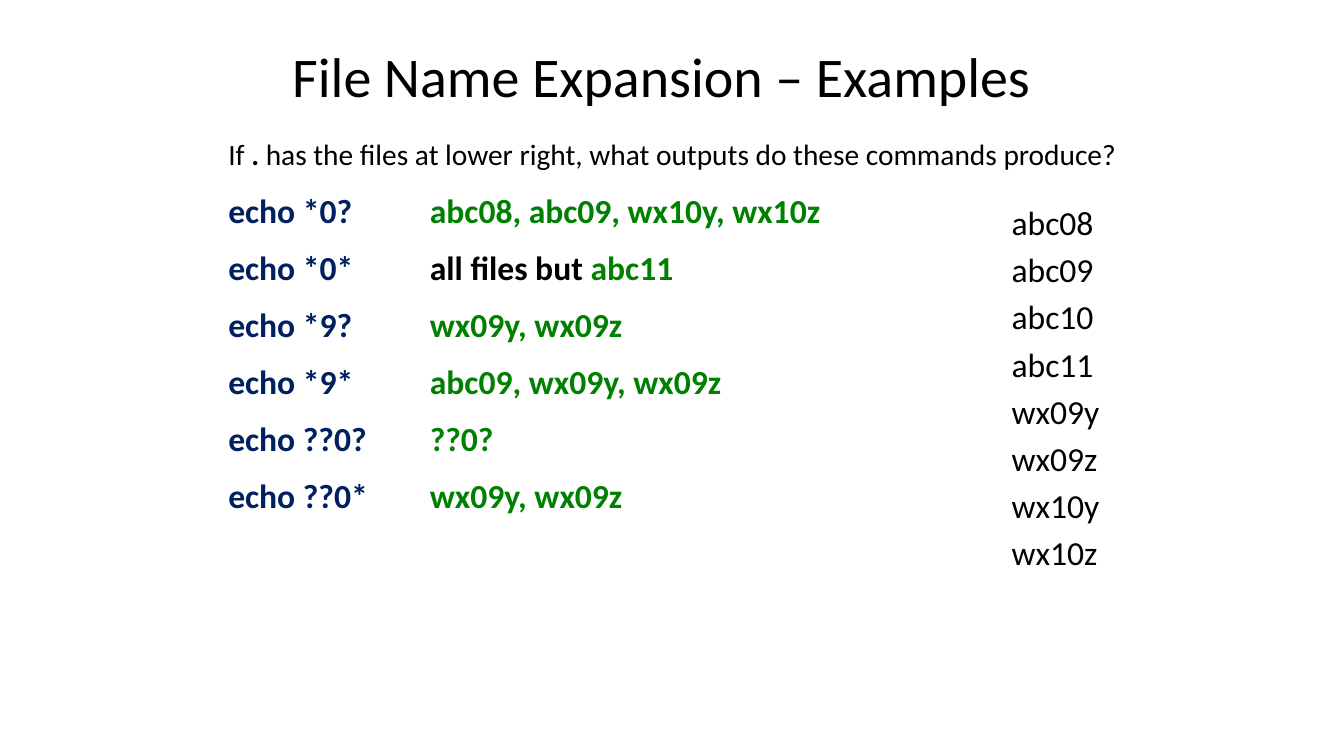
"""Build the slide of file name expansion examples."""
from pptx import Presentation
from pptx.dml.color import RGBColor
from pptx.enum import text as t
from pptx.util import Pt

BLACK = RGBColor(0, 0, 0)
WHITE = RGBColor(255, 255, 255)
NAVY = RGBColor(0, 0x20, 0x60)
GREEN = RGBColor(0, 0x80, 0)

TITLE = "File Name Expansion – Examples"
INTRO = [
    ("If", BLACK, False),
    (" .", BLACK, True),
    (" has the files at lower right, what outputs do these commands produce?", BLACK, False),
]
TESTS = [
    ("echo *0?", "", "abc08, abc09, wx10y, wx10z"),
    ("echo *0*", "all files but ", "abc11"),
    ("echo *9?", "", "wx09y, wx09z"),
    ("echo *9*", "", "abc09, wx09y, wx09z"),
    ("echo ??0?", "", "??0?"),
    ("echo ??0*", "", "wx09y, wx09z"),
]
FILES = ["abc08", "abc09", "abc10", "abc11", "wx09y", "wx09z", "wx10y", "wx10z"]


def add_text(slide, box, size, rows, anchor=t.MSO_ANCHOR.TOP,
             align=t.PP_ALIGN.LEFT, before=0, after=0, fill=None):
    """Add a text box whose rows are lists of (text, colour, bold)."""
    shape = slide.shapes.add_textbox(*map(Pt, box))
    if fill is not None:
        shape.fill.solid()
        shape.fill.fore_color.rgb = fill
    frame = shape.text_frame
    frame.word_wrap = True
    frame.vertical_anchor = anchor
    for i, row in enumerate(rows):
        para = frame.add_paragraph() if i else frame.paragraphs[0]
        para.alignment = align
        para.space_before, para.space_after = Pt(before), Pt(after)
        for words, color, bold in row:
            run = para.add_run()
            run.text = words
            run.font.name = "Calibri"
            run.font.size = Pt(size)
            run.font.bold = bold
            run.font.color.rgb = color


def test_row(command, note, result):
    """Return the runs of one command and its output."""
    parts = [(command + "\t\t", NAVY, True), (note, BLACK, True), (result, GREEN, True)]
    return [part for part in parts if part[0]]


def main():
    """Build and save the slide."""
    deck = Presentation()
    deck.slide_width, deck.slide_height = Pt(960), Pt(540)
    slide = deck.slides.add_slide(deck.slide_layouts[6])
    left, high = 156, 297
    add_text(slide, (144, 30, 656.5, 48), 40, [[(TITLE, BLACK, False)]],
             anchor=t.MSO_ANCHOR.MIDDLE, align=t.PP_ALIGN.CENTER)
    add_text(slide, (left, 132, 570, high), 24, [test_row(*test) for test in TESTS],
             after=12, fill=WHITE)
    add_text(slide, (715.5, 141, 94.5, high), 24, [[(name, BLACK, False)] for name in FILES],
             before=4.8, fill=WHITE)
    add_text(slide, (left, 96, 654, 30), 21, [INTRO], anchor=t.MSO_ANCHOR.BOTTOM)
    deck.save("out.pptx")


if __name__ == "__main__":
    main()
